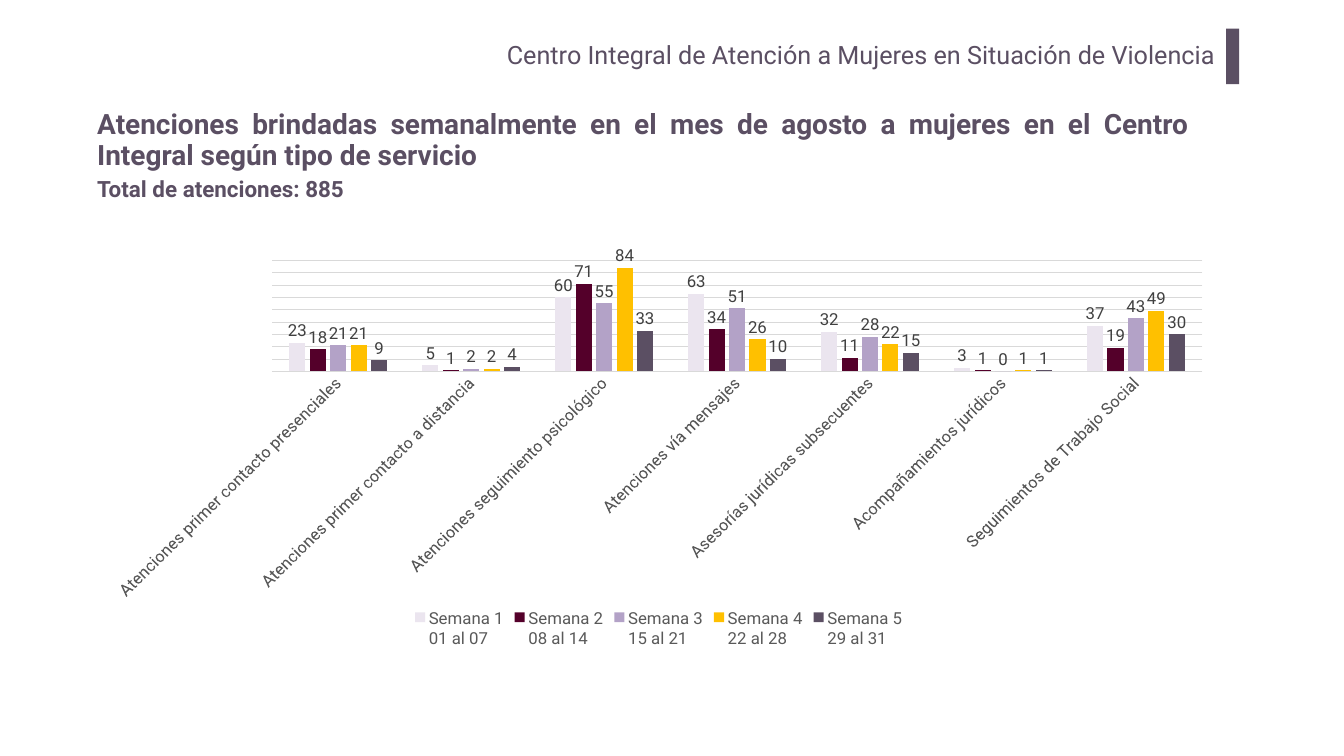
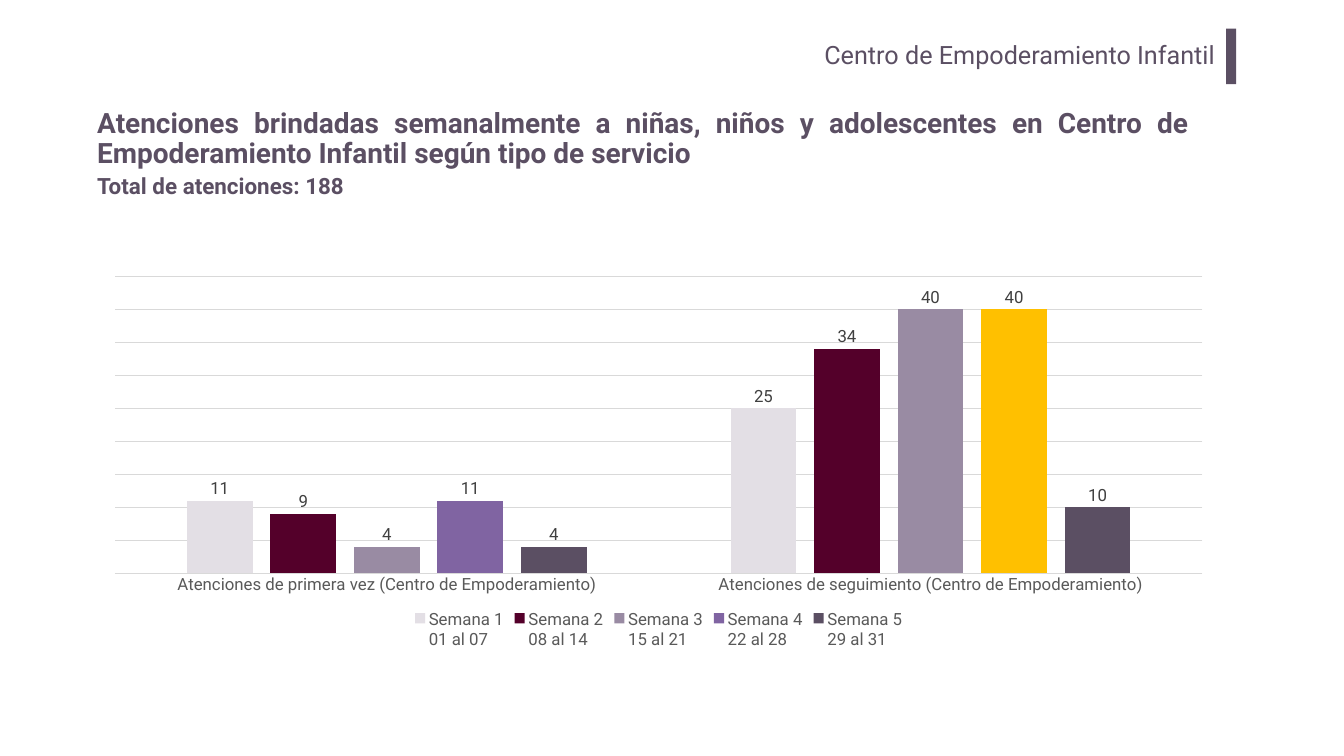
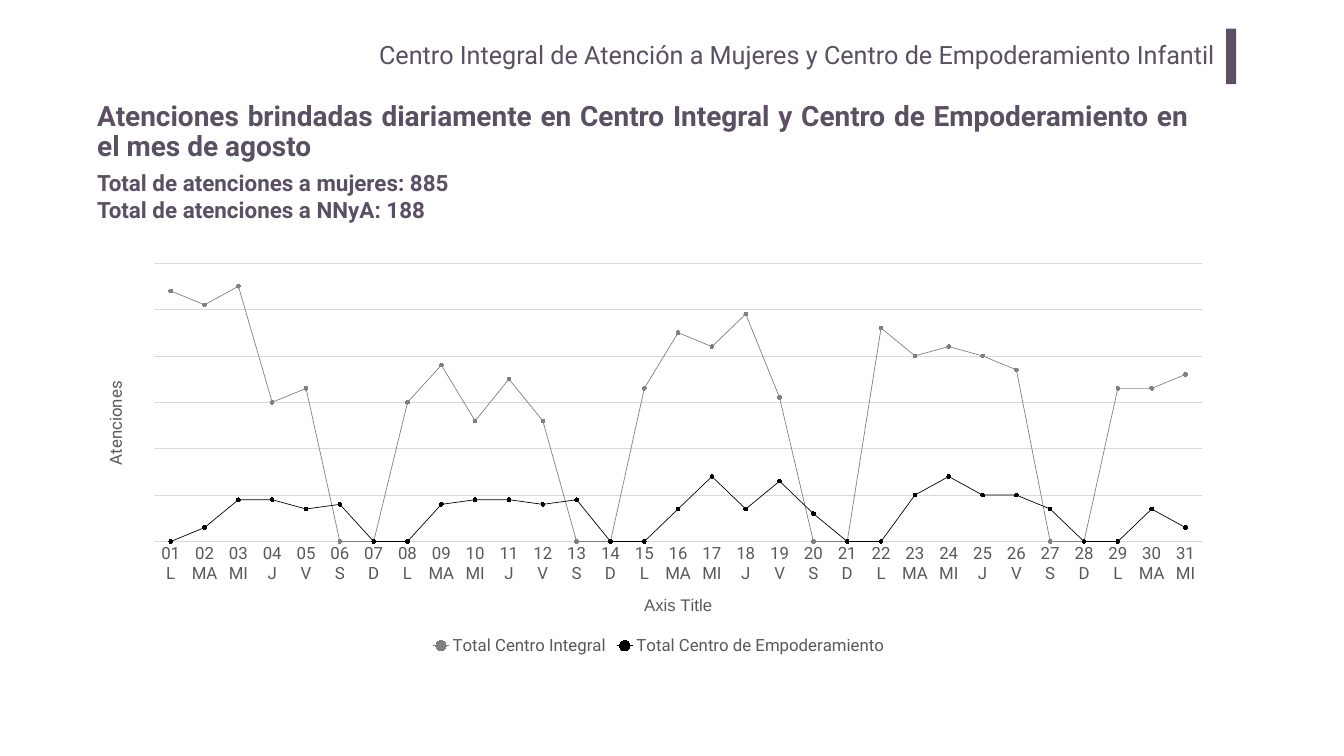
from dataclasses import dataclass

from pptx import Presentation
from pptx.chart.data import CategoryChartData
from pptx.dml.color import RGBColor
from pptx.enum import chart as ch, shapes, text
from pptx.util import Inches, Pt


@dataclass(frozen=True)
class Theme:
    font: str = "Roboto"
    base_font: str = "Arial"
    plum: str = "5B4F63"
    wine: str = "54002A"
    gold: str = "FFC000"
    violet: str = "8064A2"
    gray: str = "808080"
    black: str = "000000"
    axis: str = "595959"
    label: str = "404040"
    grid: str = "D9D9D9"
    header_size: int = 36
    title_size: int = 40
    total_size: int = 32
    chart_size: int = 24
    base_size: int = 10


theme = Theme()


def style(font, size, color, name=theme.font, bold=False):
    font.size, font.name, font.bold = Pt(size), name, bold
    font.color.rgb = RGBColor.from_string(color)


def add_text(slide, box, lines, size, bold=False, align=text.PP_ALIGN.LEFT,
             anchor=text.MSO_ANCHOR.TOP, inset=0.1, spacing=1.0):
    frame = slide.shapes.add_textbox(*map(Inches, box)).text_frame
    frame.word_wrap = True
    frame.vertical_anchor = anchor
    frame.margin_left = frame.margin_right = Inches(inset)
    frame.margin_top = frame.margin_bottom = Inches(inset / 2)
    frame.text = "\n".join(lines)
    for paragraph in frame.paragraphs:
        paragraph.alignment = align
        paragraph.line_spacing = spacing
        style(paragraph.font, size, theme.plum, bold=bold)
    return frame


weeks = ["Semana 1\n01 al 07", "Semana 2\n08 al 14", "Semana 3\n15 al 21",
         "Semana 4\n22 al 28", "Semana 5\n29 al 31"]
weekdays = ["L", "MA", "MI", "J", "V", "S", "D"]
days = [f"{day:02d}\n{weekdays[(day - 1) % 7]}" for day in range(1, 32)]

pages = [
    dict(
        header="Centro Integral de Atención a Mujeres en Situación de Violencia",
        band_width=0.26,
        title="Atenciones brindadas semanalmente en el mes de agosto a mujeres "
              "en el Centro Integral según tipo de servicio",
        title_top=2.07,
        totals=["Total de atenciones: 885"],
        totals_box=(1.83, 3.43, 5.64, 0.64),
        chart_top=4.88, chart_height=8.05,
        kind=ch.XL_CHART_TYPE.COLUMN_CLUSTERED,
        label_angle=-45,
        categories=["Atenciones primer contacto presenciales",
                    "Atenciones primer contacto a distancia",
                    "Atenciones seguimiento psicológico",
                    "Atenciones vía mensajes",
                    "Asesorías jurídicas subsecuentes",
                    "Acompañamientos jurídicos",
                    "Seguimientos de Trabajo Social"],
        names=weeks,
        values=[[23, 5, 60, 63, 32, 3, 37], [18, 1, 71, 34, 11, 1, 19],
                [21, 2, 55, 51, 28, 0, 43], [21, 2, 84, 26, 22, 1, 49],
                [9, 4, 33, 10, 15, 1, 30]],
        colors=["EBE5EF", theme.wine, "B3A2C7", theme.gold, theme.plum],
    ),
    dict(
        header="Centro de Empoderamiento Infantil",
        band_width=0.2,
        title="Atenciones brindadas semanalmente a niñas, niños y adolescentes "
              "en Centro de Empoderamiento Infantil según tipo de servicio",
        title_top=2.04,
        totals=["Total de atenciones: 188"],
        totals_box=(1.83, 3.36, 5.64, 0.64),
        chart_top=5.33, chart_height=7.63,
        kind=ch.XL_CHART_TYPE.COLUMN_CLUSTERED,
        label_angle=0,
        categories=["Atenciones de primera vez (Centro de Empoderamiento)",
                    "Atenciones de seguimiento (Centro de Empoderamiento)"],
        names=weeks,
        values=[[11, 25], [9, 34], [4, 40], [11, 40], [4, 10]],
        colors=["E3DFE5", theme.wine, "998BA3", theme.violet, theme.plum],
        highlight=(3, 1),
    ),
    dict(
        header="Centro Integral de Atención a Mujeres y Centro de Empoderamiento Infantil",
        band_width=0.2,
        title="Atenciones brindadas diariamente en Centro Integral y Centro de "
              "Empoderamiento en el mes de agosto",
        title_top=1.91,
        totals=["Total de atenciones a mujeres: 885", "Total de atenciones a NNyA: 188"],
        totals_box=(1.83, 3.3, 8.12, 1.18),
        chart_top=5.06, chart_height=8.02,
        kind=ch.XL_CHART_TYPE.LINE_MARKERS,
        label_angle=0,
        categories=days,
        names=["Total Centro Integral", "Total Centro de Empoderamiento"],
        values=[[54, 51, 55, 30, 33, 0, 0, 30, 38, 26, 35, 26, 0, 0, 33, 45,
                 42, 49, 31, 0, 0, 46, 40, 42, 40, 37, 0, 0, 33, 33, 36],
                [0, 3, 9, 9, 7, 8, 0, 0, 8, 9, 9, 8, 9, 0, 0, 7,
                 14, 7, 13, 6, 0, 0, 10, 14, 10, 10, 7, 0, 0, 7, 3]],
        colors=[theme.gray, theme.black],
        axis_titles=[("Axis Title", theme.base_font), ("Atenciones", theme.font)],
    ),
]

deck = Presentation()
deck.slide_width, deck.slide_height = Inches(26.67), Inches(15)

for page in pages:
    slide = deck.slides.add_slide(deck.slide_layouts[6])
    add_text(slide, (4.01, 0.67, 20.3, 1.02), [page["header"]], theme.header_size,
             align=text.PP_ALIGN.RIGHT, inset=0.2)

    band = slide.shapes.add_shape(shapes.MSO_SHAPE.RECTANGLE, Inches(24.33), Inches(0.57),
                                  Inches(page["band_width"]), Inches(1.1))
    band.shadow.inherit = False
    band.fill.solid()
    band.fill.fore_color.rgb = RGBColor.from_string(theme.plum)
    band.line.fill.background()

    add_text(slide, (1.83, page["title_top"], 21.85, 1.45), [page["title"]],
             theme.title_size, bold=True, align=text.PP_ALIGN.JUSTIFY,
             anchor=text.MSO_ANCHOR.MIDDLE, spacing=0.9)
    totals = add_text(slide, page["totals_box"], page["totals"], theme.total_size, bold=True)
    totals.auto_size = text.MSO_AUTO_SIZE.SHAPE_TO_FIT_TEXT

    figures = CategoryChartData()
    figures.categories = page["categories"]
    for name, values in zip(page["names"], page["values"]):
        figures.add_series(name, values)
    chart = slide.shapes.add_chart(
        page["kind"], Inches(1.83), Inches(page["chart_top"]),
        Inches(22.48), Inches(page["chart_height"]), figures).chart
    chart.has_title = False
    style(chart.font, theme.base_size, theme.black, theme.base_font)
    chart.has_legend = True
    chart.legend.position = ch.XL_LEGEND_POSITION.BOTTOM
    chart.legend.include_in_layout = False
    style(chart.legend.font, theme.chart_size, theme.axis)

    categories, amounts = chart.category_axis, chart.value_axis
    style(categories.tick_labels.font, theme.chart_size, theme.axis)
    label_body = categories._element.txPr.bodyPr
    label_body.set("rot", str(page["label_angle"] * 60000))
    label_body.set("vert", "horz")
    categories.major_tick_mark = ch.XL_TICK_MARK.NONE
    categories.has_major_gridlines = False
    amounts.visible = False
    amounts.has_major_gridlines = True
    for rule in (categories.format.line, amounts.major_gridlines.format.line):
        rule.color.rgb = RGBColor.from_string(theme.grid)
        rule.width = Pt(0.75)
    for axis, (caption, font_name) in zip((categories, amounts), page.get("axis_titles", [])):
        axis.has_title = True
        axis.axis_title.text_frame.text = caption
        style(axis.axis_title.text_frame.paragraphs[0].font,
              theme.chart_size, theme.axis, font_name)
        if axis is amounts:
            axis.axis_title.text_frame._txBody.bodyPr.set("rot", "-5400000")

    plot = chart.plots[0]
    plot.vary_by_categories = False
    is_column = page["kind"] == ch.XL_CHART_TYPE.COLUMN_CLUSTERED
    if is_column:
        plot.gap_width, plot.overlap = 219, -27
    for series, color in zip(plot.series, page["colors"]):
        shade = RGBColor.from_string(color)
        if is_column:
            series.format.fill.solid()
            series.format.fill.fore_color.rgb = shade
            series.invert_if_negative = False
            series.data_labels.show_value = True
            series.data_labels.position = ch.XL_LABEL_POSITION.OUTSIDE_END
            style(series.data_labels.font, theme.chart_size, theme.label)
        else:
            series.smooth = False
            series.format.line.color.rgb = shade
            series.format.line.width = Pt(1)
            series.marker.style = ch.XL_MARKER_STYLE.CIRCLE
            series.marker.size = 5
            series.marker.format.fill.solid()
            series.marker.format.fill.fore_color.rgb = shade
            series.marker.format.line.color.rgb = shade
    if "highlight" in page:
        week, service = page["highlight"]
        peak = plot.series[week].points[service].format.fill
        peak.solid()
        peak.fore_color.rgb = RGBColor.from_string(theme.gold)

deck.save("out.pptx")
